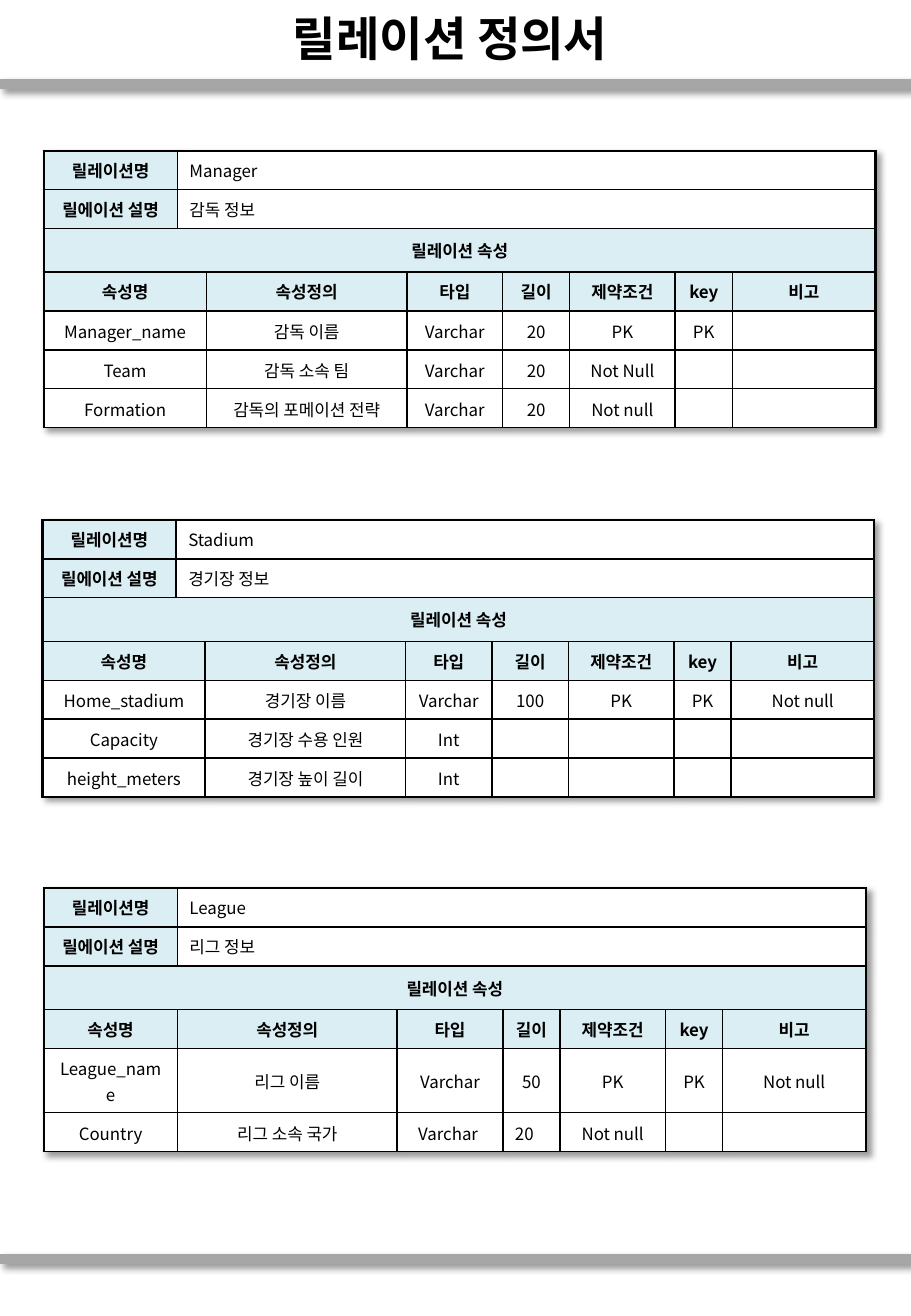
"""Build a page of relation definition tables."""
from lxml.etree import SubElement
from pptx import Presentation
from pptx.dml.color import RGBColor
from pptx.enum.shapes import MSO_CONNECTOR
from pptx.enum.text import MSO_ANCHOR, MSO_AUTO_SIZE, PP_ALIGN as ALIGN
from pptx.oxml import parse_xml
from pptx.oxml.ns import nsdecls, qn
from pptx.util import Inches, Pt

COLORS = {"ink": "000000", "rule": "A6A6A6", "label": "DBEEF4", "value": "FFFFFF"}
FONT = "Noto Sans CJK KR"
GRID_STYLE = "{5940675A-B579-460E-94D1-54222C63F5DA}"
PAGE_WIDTH, PAGE_HEIGHT = 7.5, 10.83
RULE_TOPS = (0.69, 10.36)
LABEL_ROW, SECTION_ROW = 0.32, 0.36

TITLE = "릴레이션 정의서 "
NAME_LABEL, ABOUT_LABEL, SECTION = "릴레이션명", "릴에이션 설명", "릴레이션 속성"
HEADERS = ("속성명", "속성정의", "타입", "길이", "제약조건", "key", "비고")
RELATIONS = [
    {
        "name": "Manager", "about": "감독 정보", "at": (0.36, 1.24),
        "columns": (1.1, 0.16, 1.65, 0.79, 0.55, 0.87, 0.47, 1.18),
        "attributes": [
            ("Manager_name", "감독 이름", "Varchar", "20", "PK", "PK", ""),
            ("Team", "감독 소속 팀", "Varchar", "20", "Not Null", "", ""),
            ("Formation", "감독의 포메이션 전략", "Varchar", "20", "Not null", "", ""),
        ],
    },
    {
        "name": "Stadium", "about": "경기장 정보", "at": (0.35, 4.28),
        "columns": (1.1, 0.16, 1.65, 0.71, 0.63, 0.87, 0.47, 1.18),
        "attributes": [
            ("Home_stadium", "경기장 이름", "Varchar", "100", "PK", "PK", "Not null"),
            ("Capacity", "경기장 수용 인원", "Int", "", "", "", ""),
            ("height_meters", "경기장 높이 길이", "Int", "", "", "", ""),
        ],
    },
    {
        "name": "League", "about": "리그 정보", "at": (0.36, 7.31),
        "columns": (1.1, 1.81, 0.87, 0.47, 0.87, 0.47, 1.18),
        "attributes": [
            ("League_name", "리그 이름", "Varchar", "50", "PK", "PK", "Not null"),
            ("Country", "리그 소속 국가", "Varchar ", "20", "Not null", "", ""),
        ],
        "justified": (5, 3),
    },
]


def make_shadow():
    return parse_xml(
        f'<a:effectLst {nsdecls("a")}><a:outerShdw blurRad="{Pt(4)}" dist="{Pt(3)}" '
        f'dir="2700000" algn="tl" rotWithShape="0"><a:srgbClr val="{COLORS["ink"]}">'
        '<a:alpha val="40000"/></a:srgbClr></a:outerShdw></a:effectLst>')


def write(frame, text, size=10, bold=False, latin=FONT, align=ALIGN.CENTER, spaced=False):
    para = frame.paragraphs[0]
    para.alignment = align
    if spaced:
        para.line_spacing, para.space_after = 1.07, Pt(8)
    if not text:
        SubElement(para._p, qn("a:endParaRPr"), sz=str(size * 100))
        return
    span = para.add_run()
    span.text = text
    span.font.size, span.font.bold, span.font.name = Pt(size), bold, latin
    span.font.color.rgb = RGBColor.from_string(COLORS["ink"])
    SubElement(span.font._element, qn("a:ea"), typeface=FONT)


def style_cell(cell, fill, widths):
    cell.vertical_anchor = MSO_ANCHOR.MIDDLE
    properties = cell._tc.get_or_add_tcPr()
    for side, width in zip("LRTB", widths):
        line = SubElement(properties, qn(f"a:ln{side}"), w=str(Pt(width)))
        SubElement(SubElement(line, qn("a:solidFill")), qn("a:srgbClr"), val=COLORS["ink"])
    cell.fill.solid()
    cell.fill.fore_color.rgb = RGBColor.from_string(COLORS[fill])


def list_cells(relation):
    """Yield row, first column, last column, text, fill and text format."""
    last = len(relation["columns"]) - 1
    extra = last + 1 - len(HEADERS)
    heading = {"bold": True}
    for row, (label, key) in enumerate([(NAME_LABEL, "name"), (ABOUT_LABEL, "about")]):
        yield row, 0, 0, label, "label", heading
        yield row, 1, last, relation[key], "value", {"align": ALIGN.LEFT}
    yield 2, 0, last, SECTION, "label", heading
    for row, texts in enumerate([HEADERS, *relation["attributes"]], 3):
        for field, text in enumerate(texts):
            first = field + extra if field else 0
            if row == 3:
                fill, look = "label", heading
            else:
                justified = (row, field) == relation.get("justified")
                fill = "value"
                look = {"spaced": True, "align": ALIGN.JUSTIFY if justified else ALIGN.CENTER}
            yield row, first, field + extra, text, fill, look


def add_relation(page, relation):
    columns = relation["columns"]
    heights = [LABEL_ROW] * 2 + [SECTION_ROW] + [LABEL_ROW] * (1 + len(relation["attributes"]))
    left, top = relation["at"]
    box = page.shapes.add_table(len(heights), len(columns), Inches(left), Inches(top),
                                Inches(sum(columns)), Inches(sum(heights)))
    table = box.table
    table.first_row = table.horz_banding = False
    properties = table._tbl.tblPr
    properties.find(qn("a:tableStyleId")).text = GRID_STYLE
    properties.insert(0, make_shadow())
    for column, width in zip(table.columns, columns):
        column.width = Inches(width)
    for row, height in zip(table.rows, heights):
        row.height = Inches(height)
    for row, first, last, text, fill, look in list_cells(relation):
        cell = table.cell(row, first)
        if last > first:
            cell.merge(table.cell(row, last))
        outer = (first == 0, last == len(columns) - 1, row == 0, False)
        style_cell(cell, fill, [1.5 if edge else 1 for edge in outer])
        write(cell.text_frame, text, **look)


deck = Presentation()
deck.slide_width, deck.slide_height = Inches(PAGE_WIDTH), Inches(PAGE_HEIGHT)
page = deck.slides.add_slide(deck.slide_layouts[5])

for top in RULE_TOPS:
    rule = page.shapes.add_connector(MSO_CONNECTOR.STRAIGHT, 0, Inches(top),
                                     Inches(PAGE_WIDTH), Inches(top))
    rule.line.color.rgb = RGBColor.from_string(COLORS["rule"])
    rule.line.width = Pt(6)
    rule._element.spPr.append(make_shadow())

title = page.shapes.title
title.left, title.top = 0, Inches(0.01)
title.width, title.height = Inches(PAGE_WIDTH), Inches(0.6)
title.text_frame.auto_size = MSO_AUTO_SIZE.NONE
title.text_frame.vertical_anchor = MSO_ANCHOR.MIDDLE
write(title.text_frame, TITLE, size=28, bold=True, latin="Arial")

for relation in RELATIONS:
    add_relation(page, relation)

deck.save("out.pptx")
